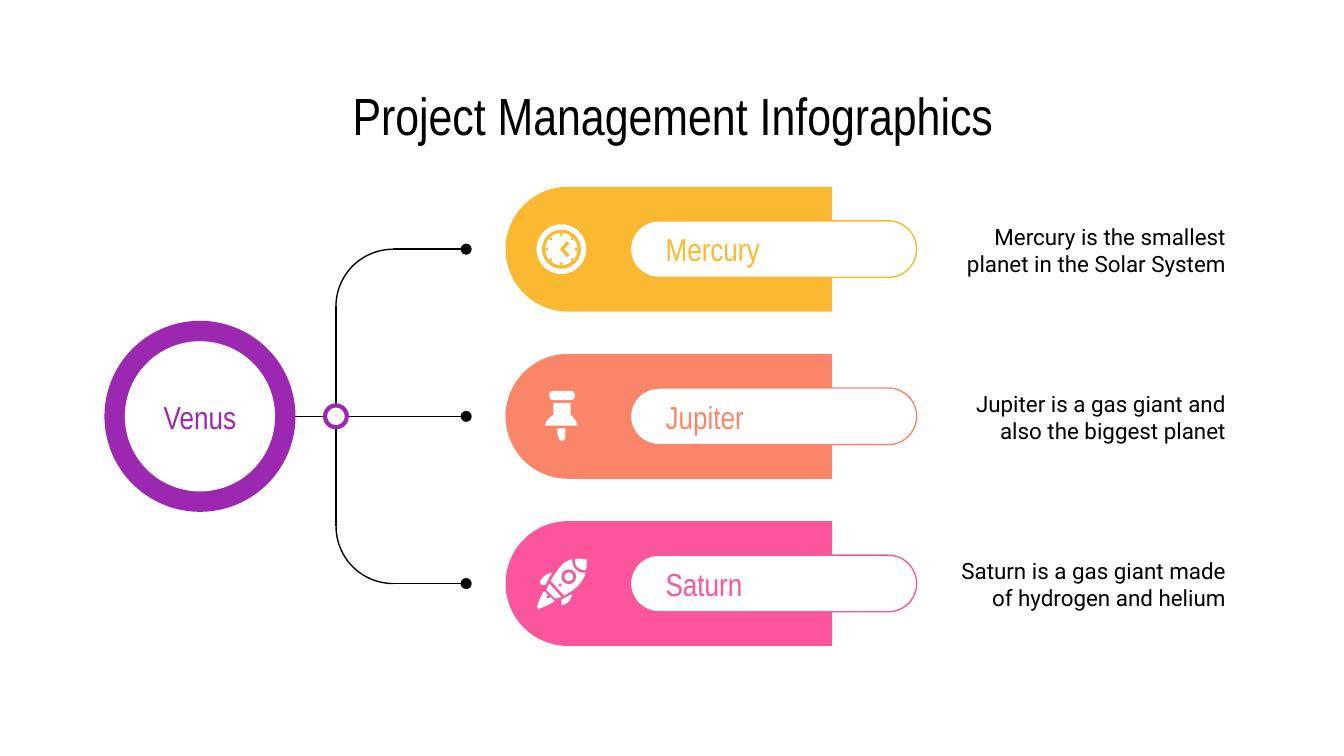
from math import cos, pi, sin

from lxml import etree
from pptx import Presentation
from pptx import util as u
from pptx.dml.color import RGBColor
from pptx.enum import shapes, text
from pptx.oxml import ns

BLACK = RGBColor(0x00, 0x00, 0x00)
WHITE = RGBColor(0xFF, 0xFF, 0xFF)
PURPLE = RGBColor(0x9C, 0x27, 0xB0)
YELLOW = RGBColor(0xFB, 0xB8, 0x31)
CORAL = RGBColor(0xFB, 0x85, 0x69)
PINK = RGBColor(0xFB, 0x56, 0x9C)
HEADING_FONT, BODY_FONT = "Arial Narrow", "Roboto"

TITLE = "Project Management Infographics"
ROOT = "Venus"

# Icon parts use hundredths of an inch from the icon centre: pairs are
# corners, six numbers are a cubic curve, discs are x, y, radius, is_white.
CLOCK_DISCS = [(0, 0, 18.5, True), (0, 0, 14.5, False), (0, 0, 12, True)] + [
    (11 * cos(step * pi / 4), 11 * sin(step * pi / 4), 1, False) for step in range(8)]
CLOCK_HAND = [(4, -6), (6, -4), (2, 0), (6, 4), (4, 6), (-1, 0)]
PIN_HEAD = [(-6, -19), (7, -19), (11, -19, 11, -12, 7, -12), (-6, -12), (-10, -12, -10, -19, -6, -19)]
PIN_BODY = [(-6, -10), (-6, -1), (-9, 1, -11, 3, -12, 6), (-12, 7), (12, 7), (12, 6),
            (11, 3, 9, 1, 7, -1), (7, -10)]
PIN_TIP = [(-3, 9), (-3, 12), (-3, 14, -2, 16, -1, 18), (2, 18), (3, 16, 3, 14, 3, 12), (3, 9)]
ROCKET_NOSE = [(10, -18), (10, -17), (10, -13, 13, -10, 17, -10), (18, -10),
               (19, -12, 19, -15, 19, -17), (19, -18, 18, -18, 18, -18), (17, -18, 14, -19, 10, -18)]
ROCKET_BODY = [(8, -18), (4, -17, 1, -15, -1, -12), (-4, -9, -6, -5, -8, -2), (2, 9),
               (6, 7, 10, 4, 12, 2), (15, -1, 17, -4, 18, -8), (17, -8), (12, -8, 8, -12, 8, -17)]
ROCKET_SKIRT = [(-9, 0), (-11, 4), (-11, 5), (-5, 11), (-3, 11), (0, 10)]
ROCKET_RIGHT_FIN = [(8, 8), (5, 9, 2, 11, 0, 12), (0, 15), (0, 16, 1, 16, 1, 16), (2, 16, 7, 14, 8, 8)]
ROCKET_LEFT_FIN = [(-7, -8), (-14, -7, -16, -1, -16, -1), (-15, 1), (-12, 1), (-10, -2, -9, -5, -7, -8)]
ROCKET_FLAME = [(-13, 6), (-15, 8, -17, 14, -18, 17), (-18, 19, -17, 19, -17, 19),
                (-14, 18, -7, 15, -5, 13), (-8, 10), (-9, 11), (-11, 11), (-11, 10), (-10, 9), (-12, 6)]
ROCKET_DISCS = [(5.5, -5, 5.5, False), (5.5, -5, 3.3, True), (-1, 1, 1, False)]

ROWS = [
    {"name": "Mercury", "note": "Mercury is the smallest planet in the Solar System", "color": YELLOW,
     "under": [], "discs": CLOCK_DISCS, "over": [CLOCK_HAND]},
    {"name": "Jupiter", "note": "Jupiter is a gas giant and also the biggest planet", "color": CORAL,
     "under": [PIN_HEAD, PIN_BODY, PIN_TIP], "discs": [], "over": []},
    {"name": "Saturn", "note": "Saturn is a gas giant made of hydrogen and helium", "color": PINK,
     "under": [ROCKET_NOSE, ROCKET_BODY, ROCKET_SKIRT, ROCKET_RIGHT_FIN, ROCKET_LEFT_FIN, ROCKET_FLAME],
     "discs": ROCKET_DISCS, "over": []},
]

MIDDLE, PITCH = 7.87, 3.16
HUB_X, DOT_X, BEND = 6.35, 8.81, 1.08
ROOT_X, ICON_X = 3.78, 10.61
ICON_UNIT = 0.0254
CURVE_STEPS = 8

presentation = Presentation()
presentation.slide_width, presentation.slide_height = u.Cm(25.4), u.Cm(14.29)
slide = presentation.slides.add_slide(presentation.slide_layouts[5])


def write(shape, words, size, font, color, align, anchor, left_inset=0.25):
    frame = shape.text_frame
    frame.word_wrap = True
    frame.auto_size = text.MSO_AUTO_SIZE.NONE
    frame.vertical_anchor = anchor
    frame.margin_left = u.Cm(left_inset)
    frame.margin_top = frame.margin_right = frame.margin_bottom = u.Cm(0.25)
    paragraph = frame.paragraphs[0]
    paragraph.alignment = align
    run = paragraph.add_run()
    run.text = words
    run.font.size, run.font.name = u.Pt(size), font
    run.font.color.rgb = color


def paint(shape, fill=None, line=None, weight=0.75):
    shape.shadow.inherit = False
    if fill is None:
        shape.fill.background()
    else:
        shape.fill.solid()
        shape.fill.fore_color.rgb = fill
    if line is None:
        shape.line.fill.background()
    else:
        shape.line.color.rgb = line
        shape.line.width = u.Pt(weight)


def add_centred(kind, x, y, width, height, **look):
    shape = slide.shapes.add_shape(
        kind, u.Cm(x - width / 2), u.Cm(y - height / 2), u.Cm(width), u.Cm(height))
    paint(shape, **look)
    return shape


def add_line(x1, y1, x2, y2, dot=False):
    line = slide.shapes.add_connector(
        shapes.MSO_CONNECTOR.STRAIGHT, u.Cm(x1), u.Cm(y1), u.Cm(x2), u.Cm(y2))
    line.line.color.rgb = BLACK
    line.line.width = u.Pt(0.75)
    if dot:
        etree.SubElement(line.line._get_or_add_ln(), ns.qn("a:tailEnd"), type="oval")
    etree.SubElement(line._element.spPr, ns.qn("a:effectLst"))


def flatten(outline):
    points = [outline[0]]
    for part in outline[1:]:
        if len(part) == 2:
            points.append(part)
            continue
        controls = [points[-1], part[:2], part[2:4], part[4:]]
        for step in range(1, CURVE_STEPS + 1):
            t = step / CURVE_STEPS
            weights = ((1 - t) ** 3, 3 * t * (1 - t) ** 2, 3 * t * t * (1 - t), t ** 3)
            points.append(tuple(sum(w * c[axis] for w, c in zip(weights, controls)) for axis in (0, 1)))
    return points


def add_outline(outline, center_y, color):
    points = [(u.Cm(ICON_X + x * ICON_UNIT), u.Cm(center_y + y * ICON_UNIT)) for x, y in flatten(outline)]
    builder = slide.shapes.build_freeform(*points[0])
    builder.add_line_segments(points[1:], close=True)
    paint(builder.convert_to_shape(), fill=color)


def add_icon(row, center_y):
    for outline in row["under"]:
        add_outline(outline, center_y, WHITE)
    for x, y, radius, is_white in row["discs"]:
        size = 2 * radius * ICON_UNIT
        add_centred(shapes.MSO_SHAPE.OVAL, ICON_X + x * ICON_UNIT, center_y + y * ICON_UNIT,
                    size, size, fill=WHITE if is_white else row["color"])
    for outline in row["over"]:
        add_outline(outline, center_y, row["color"])


title = slide.shapes.title
title.left, title.top, title.width, title.height = u.Cm(1.98), u.Cm(1.5), u.Cm(21.46), u.Cm(1.35)
write(title, TITLE, 28, HEADING_FONT, BLACK, text.PP_ALIGN.CENTER, text.MSO_ANCHOR.MIDDLE)

for index, row in enumerate(ROWS):
    center_y = MIDDLE + (index - 1) * PITCH
    tab = add_centred(shapes.MSO_SHAPE.ROUND_2_SAME_RECTANGLE, 12.64, center_y, 2.36, 6.17, fill=row["color"])
    tab.adjustments[0], tab.adjustments[1] = 0.5, 0
    tab.rotation = 270
    pill = add_centred(shapes.MSO_SHAPE.ROUNDED_RECTANGLE, 14.62, center_y, 5.41, 1.07,
                       fill=WHITE, line=row["color"])
    pill.adjustments[0] = 0.5
    write(pill, row["name"], 17, HEADING_FONT, row["color"], text.PP_ALIGN.LEFT, text.MSO_ANCHOR.MIDDLE, 0.51)
    note = slide.shapes.add_textbox(u.Cm(17.63), u.Cm(center_y - 0.74), u.Cm(5.79), u.Cm(1.47))
    write(note, row["note"], 12, BODY_FONT, BLACK, text.PP_ALIGN.RIGHT, text.MSO_ANCHOR.TOP)
    add_icon(row, center_y)

for side in (-1, 1):
    end_y = MIDDLE + side * PITCH
    arc = add_centred(shapes.MSO_SHAPE.ARC, HUB_X + BEND, end_y - side * BEND, 2 * BEND, 2 * BEND, line=BLACK)
    arc.rotation = 270 if side < 0 else 180
    add_line(HUB_X + BEND, end_y, DOT_X, end_y, dot=True)
    add_line(HUB_X, end_y - side * BEND, HUB_X, MIDDLE)
add_line(4.45, MIDDLE, DOT_X, MIDDLE, dot=True)

add_centred(shapes.MSO_SHAPE.OVAL, HUB_X, MIDDLE, 0.41, 0.41, fill=WHITE, line=PURPLE, weight=2.25)
add_centred(shapes.MSO_SHAPE.OVAL, ROOT_X, MIDDLE, 3.61, 3.61, fill=PURPLE)
root = add_centred(shapes.MSO_SHAPE.OVAL, ROOT_X, MIDDLE, 2.84, 2.84, fill=WHITE)
write(root, ROOT, 17, HEADING_FONT, PURPLE, text.PP_ALIGN.CENTER, text.MSO_ANCHOR.MIDDLE)

presentation.save("out.pptx")
